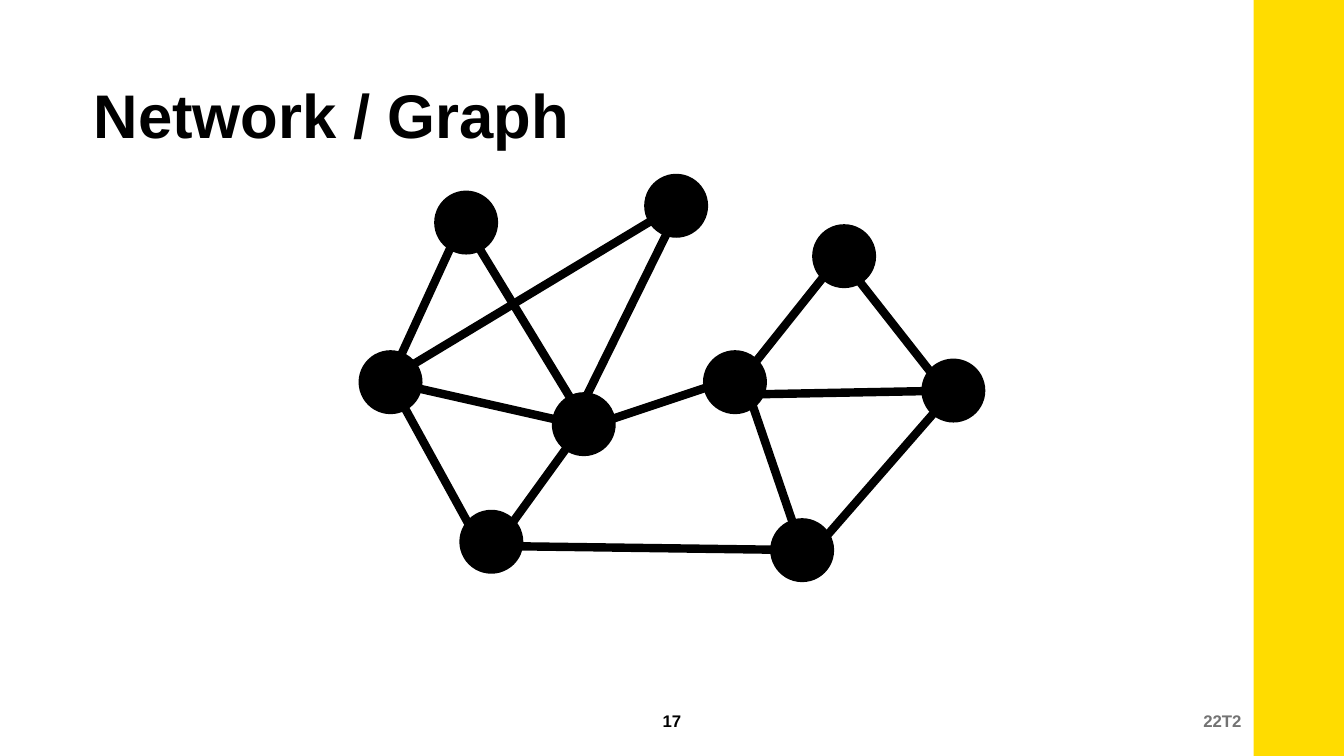
from lxml.etree import SubElement
from pptx import Presentation
from pptx.dml.color import RGBColor
from pptx.enum.shapes import MSO_CONNECTOR, MSO_SHAPE
from pptx.enum.text import MSO_ANCHOR, PP_ALIGN
from pptx.oxml.ns import qn
from pptx.util import Pt

COLORS = {"black": "000000", "yellow": "FFDC00", "grey": "737373"}
NODE_DIAMETER = 45.7
EDGE_WIDTH = 6

NODE_CENTRES = [
    (279, 273), (333, 159), (351, 387), (417, 303), (483, 147),
    (525, 273), (573, 393), (603, 183), (681, 279),
]

# Each edge ends inside the two nodes it joins, slightly off their centres.
EDGES = [
    ((333, 162), (417, 300)),
    ((525, 270), (426, 303)),
    ((593.5, 175), (681, 286.5)),
    ((600, 183), (523.5, 279)),
    ((681, 279), (522, 282)),
    ((573, 393), (534, 279)),
    ((579, 396), (681, 279)),
    ((412, 297), (486, 147)),
    ((412, 303), (279, 273)),
    ((483, 147), (279, 270)),
    ((330, 159), (279, 270)),
    ((417, 303), (354, 390)),
    ((279, 273), (345, 393)),
    ((354, 390), (579, 393)),
]


def color(name):
    return RGBColor.from_string(COLORS[name])


def add_filled_shape(slide, kind, left, top, width, height, fill):
    shape = slide.shapes.add_shape(kind, Pt(left), Pt(top), Pt(width), Pt(height))
    shape.shadow.inherit = False
    shape.fill.solid()
    shape.fill.fore_color.rgb = color(fill)
    shape.line.fill.background()


def add_node(slide, x, y):
    radius = NODE_DIAMETER / 2
    add_filled_shape(slide, MSO_SHAPE.OVAL, x - radius, y - radius,
                     NODE_DIAMETER, NODE_DIAMETER, "black")


def add_edge(slide, start, end):
    edge = slide.shapes.add_connector(
        MSO_CONNECTOR.STRAIGHT, *(Pt(value) for value in start + end))
    edge.line.width = Pt(EDGE_WIDTH)
    edge.line.color.rgb = color("black")
    SubElement(edge._element.spPr, qn("a:effectLst"))


def add_text(slide, text, left, top, width, height, size,
             fill="black", alignment=PP_ALIGN.LEFT, inset=7.2):
    text_box = slide.shapes.add_textbox(Pt(left), Pt(top), Pt(width), Pt(height))
    frame = text_box.text_frame
    frame.word_wrap = True
    frame.vertical_anchor = MSO_ANCHOR.MIDDLE
    frame.margin_left = frame.margin_right = Pt(inset)
    paragraph = frame.paragraphs[0]
    paragraph.text = text
    paragraph.alignment = alignment
    paragraph.font.name = "Arial"
    paragraph.font.size = Pt(size)
    paragraph.font.bold = True
    paragraph.font.color.rgb = color(fill)


def main():
    presentation = Presentation()
    presentation.slide_width = Pt(960)
    presentation.slide_height = Pt(540)
    slide = presentation.slides.add_slide(presentation.slide_layouts[6])

    add_filled_shape(slide, MSO_SHAPE.RECTANGLE, 895.5, 0, 64.5, 540, "yellow")
    add_text(slide, "Network / Graph", 67, 29, 828, 104.4, 44, inset=0)
    for start, end in EDGES:
        add_edge(slide, start, end)
    for x, y in NODE_CENTRES:
        add_node(slide, x, y)
    add_text(slide, "17", 372, 500.5, 216, 28.8, 12, alignment=PP_ALIGN.CENTER)
    add_text(slide, "22T2", 570, 500.5, 324, 28.8, 12, "grey", PP_ALIGN.RIGHT)

    presentation.save("out.pptx")


if __name__ == "__main__":
    main()
